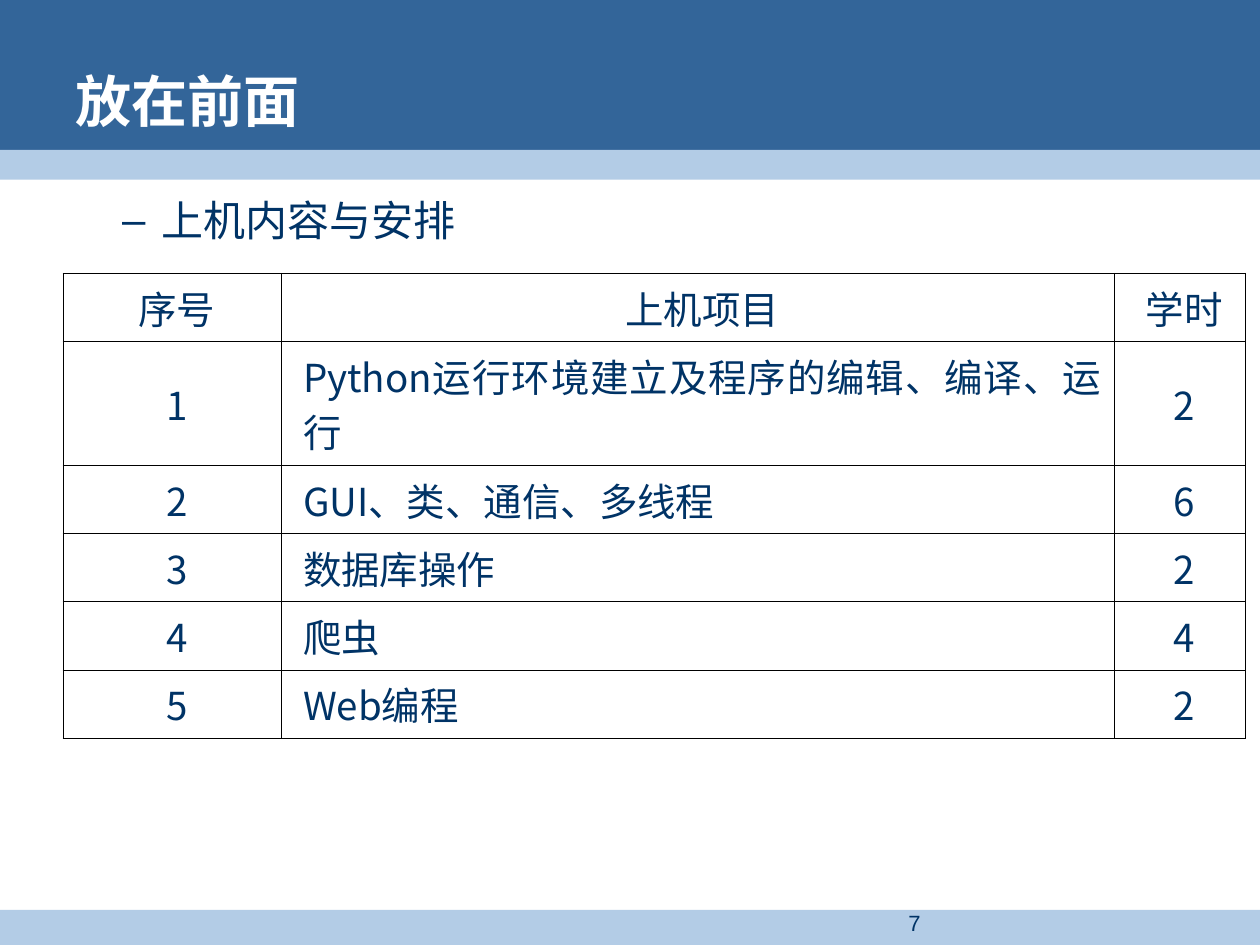
from lxml import etree
from pptx import Presentation
from pptx import util as u
from pptx.dml.color import RGBColor
from pptx.enum import shapes, text
from pptx.oxml import ns

NAVY, BLUE, PALE, WHITE, BLACK = "003366", "336599", "B3CCE6", "FFFFFF", "000000"
ARIAL, CJK = "Arial", "Noto Sans CJK SC"
LEFT, CENTER, JUSTIFY = text.PP_ALIGN.LEFT, text.PP_ALIGN.CENTER, text.PP_ALIGN.JUSTIFY


def color(hex_string):
    return RGBColor.from_string(hex_string)


def add_element(parent, tag, **attributes):
    return etree.SubElement(parent, ns.qn(tag), attributes)


def write(frame, words, size=22, font=CJK, fill=NAVY, bold=False, align=LEFT,
          margin=0, indent=0, bullet=None, line_spacing=None, after=None):
    """Put one formatted paragraph into a text frame."""
    paragraph = frame.paragraphs[0]
    properties = paragraph._p.get_or_add_pPr()
    properties.set("marL", str(u.Pt(margin)))
    properties.set("indent", str(u.Pt(indent)))
    if bullet:
        bullet_color = add_element(properties, "a:buClr")
        add_element(bullet_color, "a:srgbClr", val=fill)
        add_element(properties, "a:buFont", typeface=ARIAL)
        add_element(properties, "a:buChar", char=bullet)
    paragraph.alignment = align
    if line_spacing:
        paragraph.line_spacing = line_spacing
    if after:
        paragraph.space_after = u.Pt(after)
    run = paragraph.add_run()
    run.text = words
    run.font.size = u.Pt(size)
    run.font.name = font
    run.font.bold = bold
    run.font.color.rgb = color(fill)
    add_element(run._r.get_or_add_rPr(), "a:ea", typeface=CJK)


class SlideBuilder:
    border_width = 0.45

    def __init__(self, presentation):
        self.slide = presentation.slides.add_slide(presentation.slide_layouts[6])

    def band(self, top, height, fill, width=720):
        shape = self.slide.shapes.add_shape(
            shapes.MSO_SHAPE.RECTANGLE, 0, u.Pt(top), u.Pt(width), u.Pt(height))
        shape.shadow.inherit = False
        shape.fill.solid()
        shape.fill.fore_color.rgb = color(fill)
        shape.line.fill.background()

    def text_box(self, left, top, width, height, words,
                 anchor=text.MSO_ANCHOR.TOP, **style):
        shape = self.slide.shapes.add_textbox(
            u.Pt(left), u.Pt(top), u.Pt(width), u.Pt(height))
        shape.text_frame.word_wrap = True
        shape.text_frame.vertical_anchor = anchor
        write(shape.text_frame, words, **style)

    def border(self, cell):
        properties = cell._tc.get_or_add_tcPr()
        for index, side in enumerate(("a:lnL", "a:lnR", "a:lnT", "a:lnB")):
            line = add_element(properties, side, w=str(u.Pt(self.border_width)))
            fill = add_element(line, "a:solidFill")
            add_element(fill, "a:srgbClr", val=BLACK)
            properties.insert(index, line)

    def table(self, left, top, widths, heights, rows):
        table = self.slide.shapes.add_table(
            len(rows), len(widths), u.Pt(left), u.Pt(top),
            u.Pt(sum(widths)), u.Pt(sum(heights))).table
        table.first_row = table.horz_banding = False
        for column, width in zip(table.columns, widths):
            column.width = u.Pt(width)
        for row, height in zip(table.rows, heights):
            row.height = u.Pt(height)
        for r, row in enumerate(rows):
            for c, words in enumerate(row):
                cell = table.cell(r, c)
                cell.fill.background()
                cell.vertical_anchor = text.MSO_ANCHOR.MIDDLE
                self.border(cell)
                align = JUSTIFY if r and c == 1 else CENTER
                write(cell.text_frame, words, align=align, margin=5.4)


def main():
    presentation = Presentation()
    presentation.slide_width, presentation.slide_height = u.Pt(720), u.Pt(540)
    builder = SlideBuilder(presentation)

    # Header and footer bands
    builder.band(0, 94.5, BLUE)
    builder.band(85.7, 17, PALE)
    builder.band(519.9, 21.6, PALE)

    # Page number, subject and title
    builder.text_box(512, 516, 84, 24, "7", size=12.6, font=ARIAL)
    builder.text_box(26.8, 102, 693, 435.5, "上机内容与安排", size=24,
                     margin=58.5, indent=-22.5, bullet="–",
                     line_spacing=1.2, after=6)
    builder.text_box(36, 12, 648, 90, "放在前面", size=32, font=ARIAL,
                     fill=WHITE, bold=True, anchor=text.MSO_ANCHOR.MIDDLE)

    # Lab schedule
    rows = [
        ("序号", "上机项目", "学时"),
        ("1", "Python运行环境建立及程序的编辑、编译、运行", "2"),
        ("2", "GUI、类、通信、多线程", "6"),
        ("3", "数据库操作", "2"),
        ("4", "爬虫", "4"),
        ("5", "Web编程", "2"),
    ]
    builder.table(36, 156.2, (124.6, 476, 74.9), (39, 70.8, 39, 39, 39, 39), rows)

    presentation.save("out.pptx")


if __name__ == "__main__":
    main()
